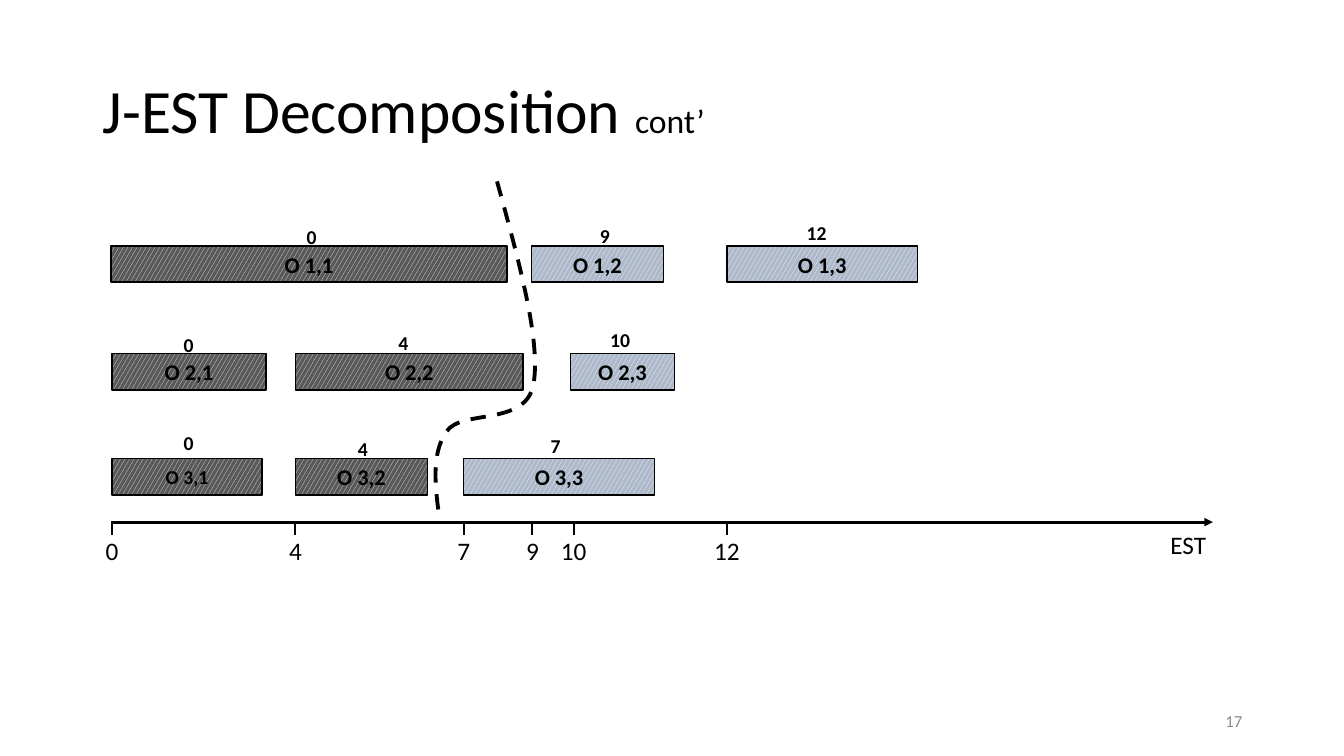
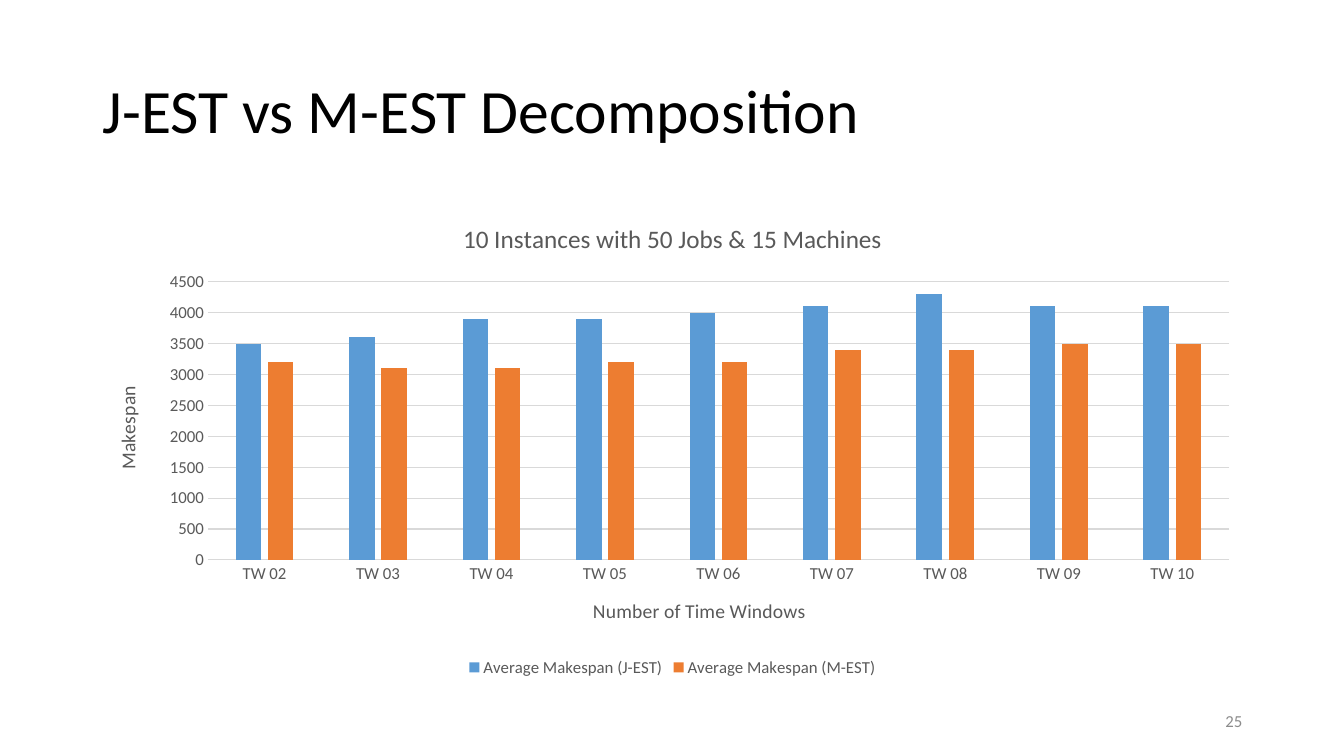
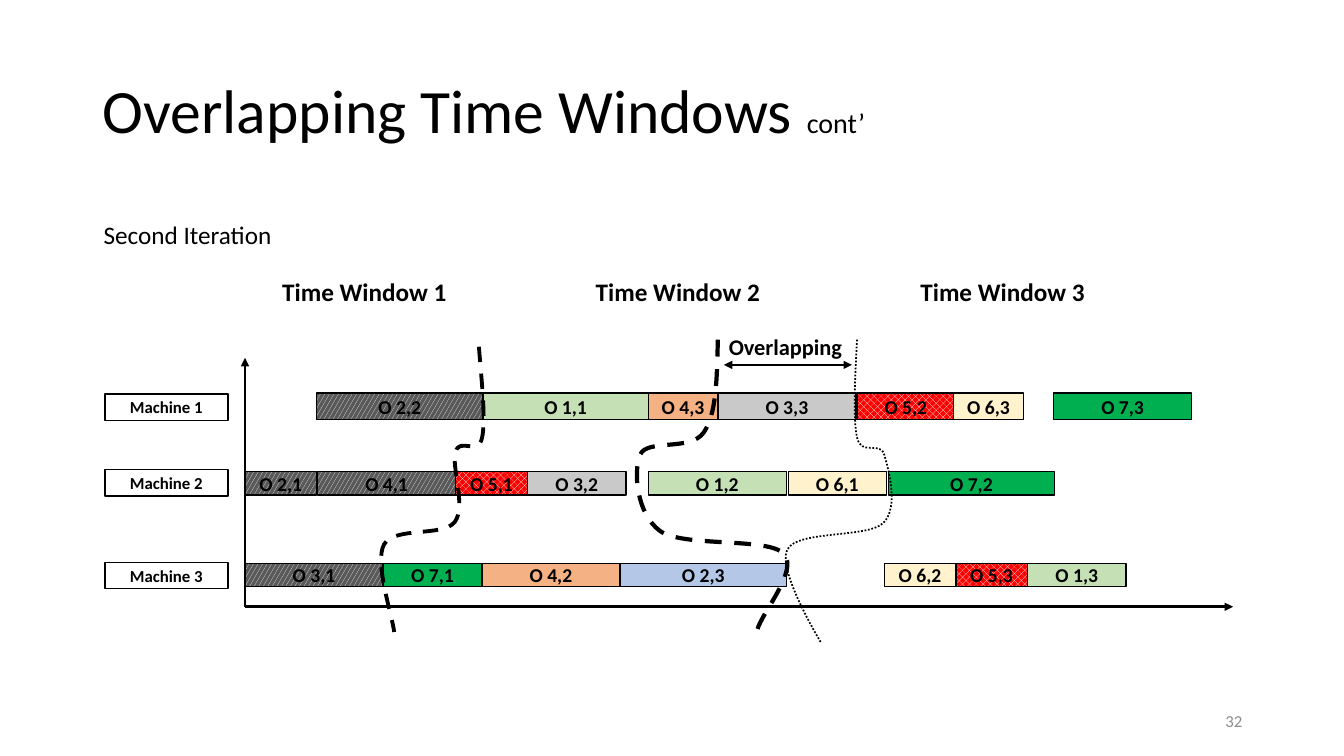
from dataclasses import dataclass
from typing import Any

from lxml.etree import SubElement
from pptx import Presentation
from pptx.chart.data import CategoryChartData as ChartData
from pptx.dml.color import RGBColor as Rgb
from pptx.enum.chart import XL_CHART_TYPE as Kind, XL_LEGEND_POSITION as Spot
from pptx.enum.chart import XL_TICK_MARK as Mark
from pptx.enum.dml import MSO_LINE as Dash, MSO_PATTERN as Pat
from pptx.enum.shapes import MSO_CONNECTOR as Wire, MSO_SHAPE as Form
from pptx.enum.text import MSO_ANCHOR as Anchor, PP_ALIGN as Align
from pptx.oxml.ns import qn
from pptx.util import Pt

PX = 9144


@dataclass(frozen=True)
class Theme:
    font: str = "Calibri"
    ink: str = "000000"
    white: str = "FFFFFF"
    gray: str = "8C8C8C"
    soft: str = "595959"
    grid: str = "D9D9D9"
    done: tuple = (Pat.LARGE_CONFETTI, "595959")
    todo: tuple = (Pat.LARGE_CONFETTI, "ADB9CA")
    jobs: tuple = ("C5E0B4", "B4C7E7", "C9C9C9", "F4B183",
                   (Pat.PERCENT_50, "FF0000"), "FFF2CC", "00B050")
    series: tuple = ("5B9BD5", "ED7D31")
    title: int = 44
    head: int = 18
    body: int = 16
    note: int = 14
    small: int = 12


T = Theme()


@dataclass
class Area:
    slide: Any
    x: int
    y: int
    w: int
    h: int

    def at(self, x, y):
        return (self.x + x) * PX, (self.y + y) * PX

    def rect(self, x, y, w, h):
        return *self.at(x, y), w * PX, h * PX


def ink(font, size, color=T.ink, bold=False):
    font.name = T.font
    font.size = Pt(size)
    font.bold = bold
    font.color.rgb = Rgb.from_string(color)


def stroke(line, width, color=T.ink):
    line.color.rgb = Rgb.from_string(color)
    line.width = Pt(width)


def paint(fill, tone):
    if tone is None:
        fill.background()
    elif isinstance(tone, tuple):
        fill.patterned()
        fill.pattern, back = tone
        fill.fore_color.rgb = Rgb.from_string(T.white)
        fill.back_color.rgb = Rgb.from_string(back)
    else:
        fill.solid()
        fill.fore_color.rgb = Rgb.from_string(tone)


def text(area, x, y, w, h, words, size, color=T.ink, bold=False,
         align=Align.LEFT, anchor=Anchor.TOP, wrap=False):
    frame = area.slide.shapes.add_textbox(*area.rect(x, y, w, h)).text_frame
    frame.word_wrap = wrap
    frame.vertical_anchor = anchor
    frame.text = words
    para = frame.paragraphs[0]
    para.alignment = align
    ink(para.runs[0].font, size, color, bold)
    return para


def box(area, x, y, w, h, words, size, tone=None, bold=True, edge=True):
    shape = area.slide.shapes.add_shape(Form.RECTANGLE, *area.rect(x, y, w, h))
    shape.shadow.inherit = False
    paint(shape.fill, tone)
    if edge:
        stroke(shape.line, 1)
    else:
        shape.line.fill.background()
    frame = shape.text_frame
    frame.word_wrap = False
    frame.vertical_anchor = Anchor.MIDDLE
    frame.margin_left = frame.margin_right = 0
    frame.margin_top = frame.margin_bottom = 0
    frame.text = words
    para = frame.paragraphs[0]
    para.alignment = Align.CENTER
    ink(para.runs[0].font, size, bold=bold)
    return shape


def rule(area, start, end, width, tips=()):
    wire = area.slide.shapes.add_connector(
        Wire.STRAIGHT, *area.at(*start), *area.at(*end))
    stroke(wire.line, width)
    props = wire.element.spPr
    for tip in tips:
        SubElement(props.find(qn("a:ln")), qn(f"a:{tip}"), type="triangle")
    SubElement(props, qn("a:effectLst"))
    return wire


def curve(area, points, width, dash):
    spots = [area.at(*point) for point in points]
    pen = area.slide.shapes.build_freeform(*spots[0])
    pen.add_line_segments(spots[1:], close=False)
    shape = pen.convert_to_shape()
    shape.shadow.inherit = False
    shape.fill.background()
    stroke(shape.line, width)
    shape.line.dash_style = dash
    track = next(shape.element.iter(qn("a:path")))
    legs = track.findall(qn("a:lnTo"))
    for i in range(0, len(legs), 3):
        bend = SubElement(track, qn("a:cubicBezTo"))
        for leg in legs[i:i + 3]:
            bend.append(leg[0])
            track.remove(leg)


def page(deck, title, number, more="", size=T.head):
    slide = deck.slides.add_slide(deck.slide_layouts[6])
    full = Area(slide, 0, 0, 1333, 750)
    para = text(full, 92, 40, 1150, 145, title, T.title,
                anchor=Anchor.MIDDLE, wrap=True)
    para.line_spacing = 0.9
    if more:
        run = para.add_run()
        run.text = more
        ink(run.font, size)
    text(full, 942, 695, 300, 40, str(number), T.small, T.gray,
         align=Align.RIGHT, anchor=Anchor.MIDDLE, wrap=True)
    return full


JOBS = (
    (64, (("O 1,1", 0, 393, "0", 199, 38), ("O 1,2", 417, 131, "9", 490, 37),
          ("O 1,3", 611, 189, "12", 700, 34))),
    (171, (("O 2,1", 1, 153, "0", 77, 145), ("O 2,2", 183, 226, "4", 290, 143),
           ("O 2,3", 456, 103, "10", 505, 140))),
    (275, (("O 3,1", 1, 149, "0", 77, 243), ("O 3,2", 183, 131, "4", 250, 249),
           ("O 3,3", 350, 189, "7", 441, 246))),
)
EARLY = {"O 1,1", "O 2,1", "O 2,2", "O 3,1", "O 3,2"}
TICKS = ((1, "0"), (183, "4"), (350, "7"), (418, "9"), (459, "10"), (611, "12"))
CUT = ((383, 0), (405, 80), (427, 160), (419, 202), (411, 243), (348, 226),
       (333, 248), (317, 271), (322, 304), (326, 336))


def jobs(area):
    for y, tasks in JOBS:
        for name, x, w, start, mid, top in tasks:
            size = T.note if name == "O 3,1" else T.body
            box(area, x, y, w, 36, name, size,
                T.done if name in EARLY else T.todo)
            wide = 20 + 10 * len(start)
            text(area, mid - wide // 2, top, wide, 34, start, T.note,
                 bold=True, align=Align.CENTER)
    curve(area, CUT, 2.75, Dash.DASH)


def scale(area):
    rule(area, (0, 0), (area.w, 0), 2, ("tailEnd",))
    for x, name in TICKS:
        wide = 28 if len(name) == 1 else 54
        label = box(area, x - wide // 2, 13, wide, 31, name, T.head,
                    bold=False, edge=False)
        rule(area, (x, 0), (x, 13), 1.5).end_connect(label, 0)
    box(area, area.w - 56, 7, 63, 31, "EST", T.head, bold=False, edge=False)


def chart(area):
    data = ChartData()
    data.categories = [f"TW {n:02}" for n in range(2, 11)]
    data.add_series("Average Makespan (J-EST)", (
        3500, 3600, 3900, 3900, 4000, 4100, 4300, 4100, 4100))
    data.add_series("Average Makespan (M-EST)", (
        3200, 3100, 3100, 3200, 3200, 3400, 3400, 3500, 3500))
    graph = area.slide.shapes.add_chart(
        Kind.COLUMN_CLUSTERED, *area.rect(0, 0, area.w, area.h), data).chart
    ink(graph.font, T.small, T.soft)

    def name(owner, words, size):
        frame = owner.text_frame
        frame.text = words
        ink(frame.paragraphs[0].runs[0].font, size, T.soft)

    graph.has_title = True
    graph.chart_title.include_in_layout = False
    name(graph.chart_title, "10 Instances with 50 Jobs & 15 Machines", T.head)
    cat, val = graph.category_axis, graph.value_axis
    for axis, words in ((cat, "Number of Time Windows"), (val, "Makespan")):
        axis.has_title = True
        name(axis.axis_title, words, T.note)
        axis.major_tick_mark = axis.minor_tick_mark = Mark.NONE
        ink(axis.tick_labels.font, T.small, T.soft)
    stroke(cat.format.line, 0.75, T.grid)
    val.format.line.fill.background()
    val.has_major_gridlines = True
    stroke(val.major_gridlines.format.line, 0.75, T.grid)
    val.minimum_scale, val.maximum_scale, val.major_unit = 0, 4500, 500
    graph.has_legend = True
    graph.legend.position = Spot.BOTTOM
    graph.legend.include_in_layout = False
    ink(graph.legend.font, T.small, T.soft)
    plot = graph.plots[0]
    plot.gap_width, plot.overlap = 219, -27
    plot.vary_by_categories = False
    for series, tone in zip(plot.series, T.series):
        paint(series.format.fill, tone)


ROWS = (
    (53, 54, 26, (("O 2,2", 71, 165), ("O 1,1", 236, 164), ("O 4,3", 400, 69),
                  ("O 3,3", 469, 137), ("O 5,2", 607, 97), ("O 6,3", 703, 69),
                  ("O 7,3", 802, 137))),
    (131, 129, 23, (("O 2,1", 0, 71), ("O 4,1", 72, 137), ("O 5,1", 209, 71),
                    ("O 3,2", 280, 98), ("O 1,2", 400, 137),
                    ("O 6,1", 539, 97), ("O 7,2", 638, 165))),
    (222, 221, 23, (("O 3,1", 0, 137), ("O 7,1", 137, 98), ("O 4,2", 235, 137),
                    ("O 2,3", 372, 165), ("O 6,2", 634, 71),
                    ("O 5,3", 705, 71), ("O 1,3", 776, 98))),
)
FIXED = {"O 2,2", "O 2,1", "O 4,1", "O 3,1"}
CUTS = (
    (2.75, Dash.DASH, (
        (232, 7), (235, 44), (239, 81), (235, 98), (231, 115), (213, 97),
        (209, 111), (204, 125), (220, 165), (208, 181), (196, 196), (149, 185),
        (138, 203), (128, 221), (146, 273), (148, 290))),
    (1.25, Dash.ROUND_DOT, (
        (607, 0), (605, 39), (603, 78), (607, 97), (611, 116), (630, 100),
        (634, 114), (638, 128), (649, 166), (633, 182), (617, 197), (548, 189),
        (538, 208), (527, 228), (571, 300), (571, 300))),
    (3, Dash.DASH, (
        (469, 0), (468, 37), (468, 73), (455, 92), (442, 111), (399, 98),
        (392, 114), (385, 130), (388, 173), (412, 190), (435, 206), (518, 196),
        (534, 212), (550, 228), (513, 270), (508, 288))),
)


def plan(area):
    base = 265
    for end in ((0, 18), (area.w, base)):
        rule(area, (0, base), end, 2, ("tailEnd",))
    for n, (y, top, h, tasks) in enumerate(ROWS, 1):
        box(area, -139, top, 122, 26, f"Machine {n}", T.small)
        for name, x, w in tasks:
            job = int(name[2])
            tone = T.done if name in FIXED else T.jobs[job - 1]
            box(area, x, y, w, h, name, T.note, tone)
    for width, dash, points in CUTS:
        curve(area, points, width, dash)
    text(area, 470, -11, 134, 37, "Overlapping", T.body, bold=True)
    rule(area, (475, 25), (602, 25), 1.25, ("headEnd", "tailEnd"))


def heads(area):
    text(area, 0, 0, 196, 40, "Second Iteration", T.head, wrap=True)
    for n, x in enumerate((177, 488, 810), 1):
        text(area, x, 56, 185, 40, f"Time Window {n}", T.head, bold=True)


def main():
    deck = Presentation()
    deck.slide_width, deck.slide_height = 1333 * PX, 750 * PX
    slide = page(deck, "J-EST Decomposition ", 17, "cont’", 24).slide
    jobs(Area(slide, 110, 180, 1093, 336))
    scale(Area(slide, 110, 518, 1093, 44))
    slide = page(deck, "J-EST vs M-EST Decomposition", 25).slide
    chart(Area(slide, 92, 200, 1150, 476))
    slide = page(deck, "Overlapping Time Windows ", 32, "cont’", 20).slide
    heads(Area(slide, 93, 213, 995, 96))
    plan(Area(slide, 243, 337, 980, 300))
    deck.save("out.pptx")


if __name__ == "__main__":
    main()
